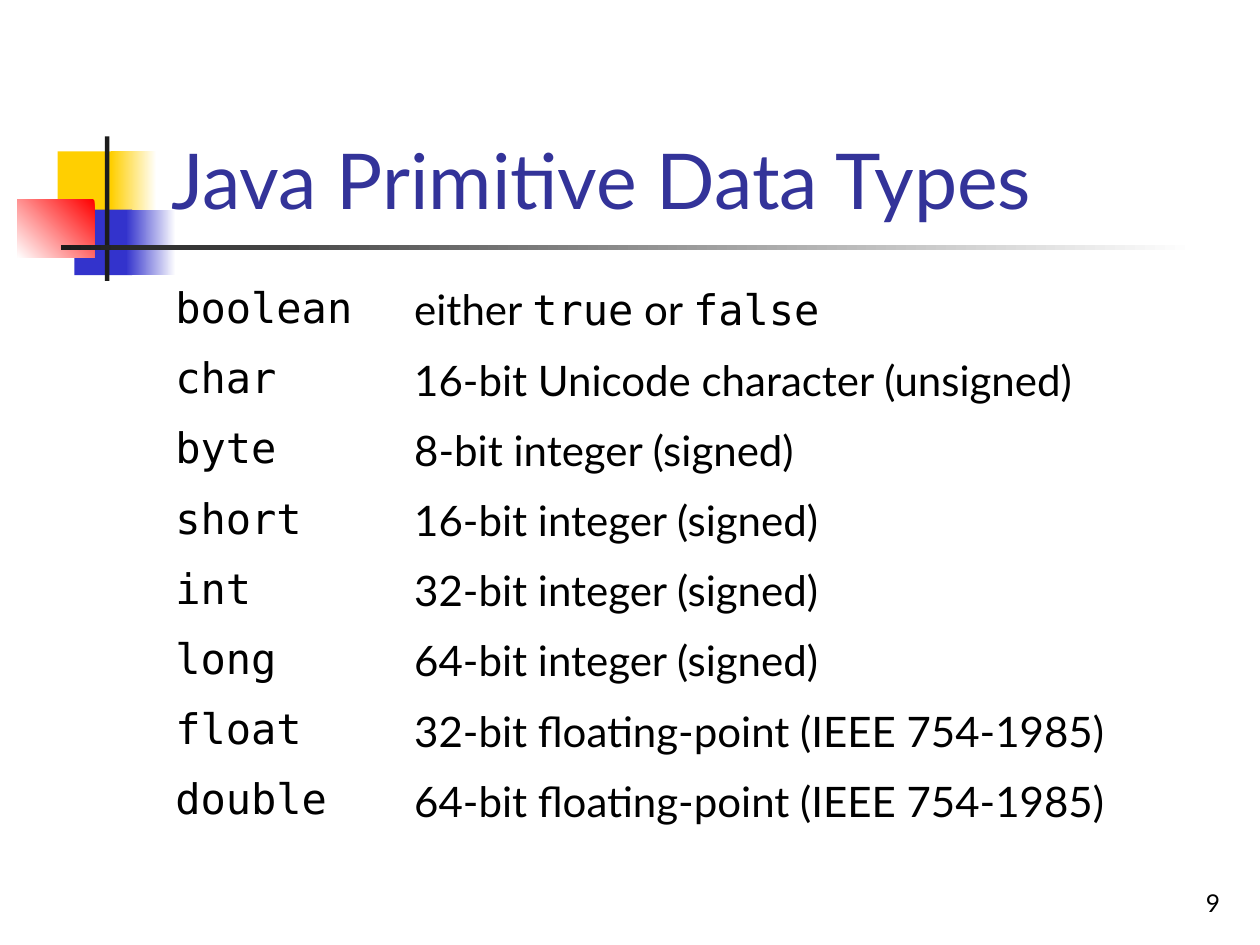
from pptx import Presentation
from pptx.dml.color import RGBColor
from pptx.enum import shapes, text
from pptx.util import Pt

SANS, MONO = "Lato", "DejaVu Sans Mono"
TITLE = "Java Primitive Data Types"
NUMBER = "9"

# Each type has a description made of (text, font) pieces.
TYPES = [
    ("boolean", [("either ", SANS), ("true", MONO), (" or ", SANS), ("false", MONO)]),
    ("char", [("16-bit Unicode character (unsigned)", SANS)]),
    ("byte", [("8-bit integer (signed)", SANS)]),
    ("short", [("16-bit integer (signed)", SANS)]),
    ("int", [("32-bit integer (signed)", SANS)]),
    ("long", [("64-bit integer (signed)", SANS)]),
    ("float", [("32-bit floating-point (IEEE 754-1985)", SANS)]),
    ("double", [("64-bit floating-point (IEEE 754-1985)", SANS)]),
]

# Left, top, width, height, colours (two make a gradient), angle
BLOCKS = [
    (33, 86.5, 34.5, 37.5, ["FFCF01"], 0),
    (63.5, 86.5, 26, 37.5, ["FFFFFF", "FFCF01"], 180),
    (42.5, 119.75, 33, 37.5, ["3333CC"], 0),
    (72, 119.75, 28.5, 37.5, ["FFFFFF", "3333CC"], 180),
    (10, 114, 44, 33.25, ["FF0000", "FFFFFF"], 225),
    (60, 78, 2.5, 82.5, ["1C1C1C"], 0),
    (34.75, 140.25, 648, 2.5, ["FFFFFF", "1C1C1C"], 180),
]


def paint(color, hue):
    color.rgb = RGBColor.from_string(hue)


def style(run, size, face, hue="000000"):
    run.font.size = Pt(size)
    run.font.name = face
    paint(run.font.color, hue)


def add_block(slide, x, y, w, h, hues, angle):
    block = slide.shapes.add_shape(
        shapes.MSO_SHAPE.RECTANGLE, Pt(x), Pt(y), Pt(w), Pt(h))
    block.shadow.inherit = False
    block.line.fill.background()
    if len(hues) == 1:
        block.fill.solid()
        paint(block.fill.fore_color, hues[0])
        return
    block.fill.gradient()
    block.fill.gradient_angle = angle
    for stop, hue in zip(block.fill.gradient_stops, hues):
        paint(stop.color, hue)


def add_title(slide):
    title = slide.shapes.title
    title.left, title.top, title.width, title.height = (
        Pt(v) for v in (90.75, 16.5, 613.5, 115.5))
    frame = title.text_frame
    frame.text = TITLE
    frame.auto_size = text.MSO_AUTO_SIZE.NONE
    frame.vertical_anchor = text.MSO_ANCHOR.BOTTOM
    frame.paragraphs[0].alignment = text.PP_ALIGN.LEFT
    style(frame.paragraphs[0].runs[0], 44, SANS, "333399")
    # Bring the title in front of the blocks
    title.element.getparent().append(title.element)


def fill_cell(cell, parts):
    cell.fill.background()
    para = cell.text_frame.paragraphs[0]
    para.space_before = Pt(6)
    for words, face in parts:
        run = para.add_run()
        run.text = words
        style(run, 24, face)


def add_types(slide):
    high = 40.13
    table = slide.shapes.add_table(
        len(TYPES), 2, Pt(93), Pt(159), Pt(612), Pt(high * len(TYPES))).table
    table.first_row = table.horz_banding = False
    for col, wide in zip(table.columns, (136.5, 475.5)):
        col.width = Pt(wide)
    for i, (name, parts) in enumerate(TYPES):
        table.rows[i].height = Pt(high)
        fill_cell(table.cell(i, 0), [(name, MONO)])
        fill_cell(table.cell(i, 1), parts)


def add_number(slide):
    box = slide.shapes.add_textbox(Pt(554.25), Pt(492), Pt(150), Pt(36))
    frame = box.text_frame
    frame.word_wrap = True
    frame.vertical_anchor = text.MSO_ANCHOR.BOTTOM
    frame.text = NUMBER
    frame.paragraphs[0].alignment = text.PP_ALIGN.RIGHT
    style(frame.paragraphs[0].runs[0], 14, SANS)


def main():
    deck = Presentation()
    deck.slide_width, deck.slide_height = Pt(720), Pt(540)
    slide = deck.slides.add_slide(deck.slide_layouts.get_by_name("Title Only"))
    for block in BLOCKS:
        add_block(slide, *block)
    add_title(slide)
    add_types(slide)
    add_number(slide)
    deck.save("out.pptx")


if __name__ == "__main__":
    main()
